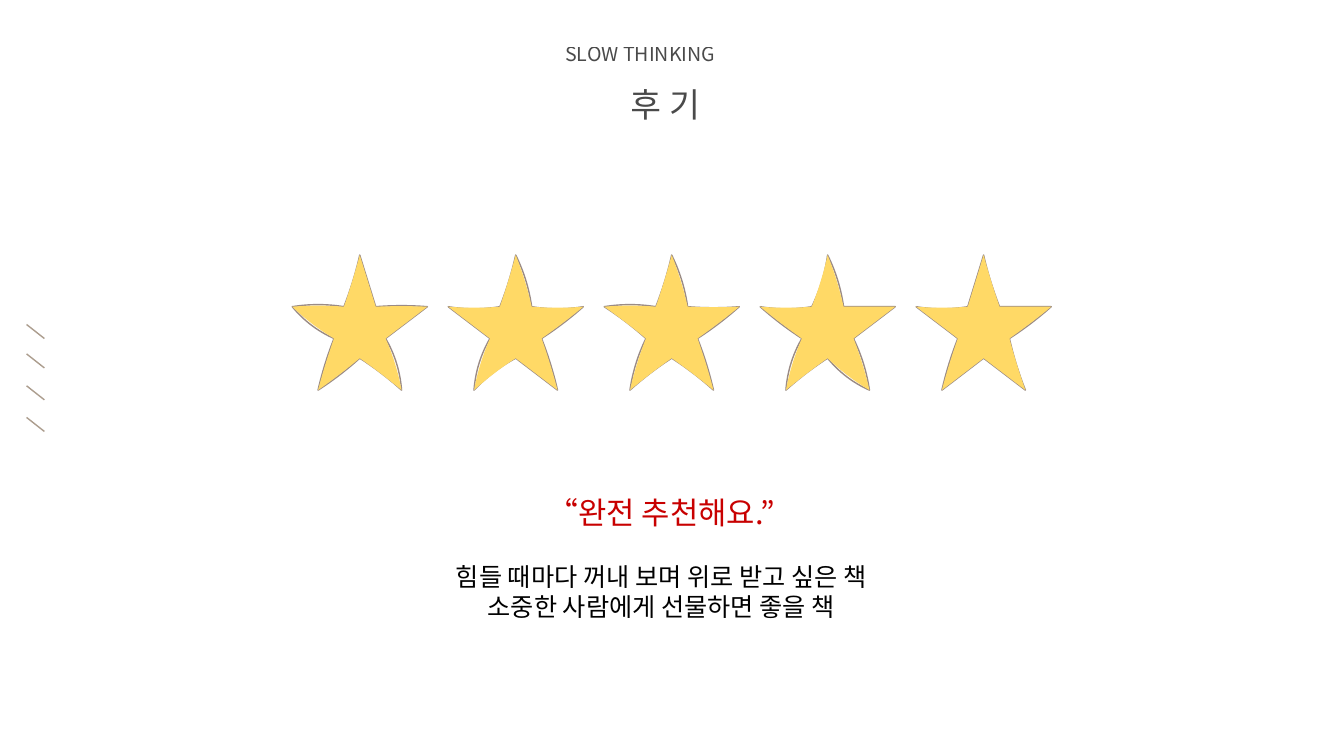
from math import cos, hypot, radians, sin
from typing import NamedTuple

from lxml.etree import SubElement
from pptx import Presentation
from pptx.dml.color import RGBColor
from pptx.enum.shapes import MSO_CONNECTOR
from pptx.enum.text import MSO_ANCHOR, MSO_AUTO_SIZE, PP_ALIGN
from pptx.oxml.ns import qn
from pptx.util import Pt

FONT = "Noto Sans CJK KR"
BLACK = RGBColor(0x00, 0x00, 0x00)
RED = RGBColor(0xC8, 0x00, 0x00)
GOLD = RGBColor(0xFF, 0xD9, 0x66)
BROWN = RGBColor(0x9A, 0x8B, 0x85)
TAN = RGBColor(0xAC, 0x9D, 0x8E)

# Star size and spacing in points; outlines use GRID units per point
SIDE, LEFT, TOP, STEP = 96.5, 208.8, 182.2, 111.4
GRID = 10
INNER = 0.382

Point = tuple[float, float]


class Star(NamedTuple):
    """Outward bend of each edge in points, clockwise from the left tip."""
    bends: tuple[int, ...]


class Line(NamedTuple):
    text: str
    size: float
    color: RGBColor
    align: PP_ALIGN = PP_ALIGN.CENTER
    alpha: int = 100
    gap: float = 0


STARS = (
    Star((2, -1, 0, 1, 0, 3, -1, 1, 1, 3)),
    Star((-2, -1, 2, -2, 1, 1, 0, -2, 3, 0)),
    Star((2, -1, 2, -1, 1, 1, -1, -1, 2, -1)),
    Star((-2, -2, 2, 0, 0, 2, 3, -1, 3, 1)),
    Star((-2, 0, -1, 0, 1, -1, 0, 0, 1, 0)),
)


def star_tips() -> list[Point]:
    """Outer and inner corners of a star that fills its square."""
    wide = SIDE / 2 / sin(radians(72))
    high = SIDE / (1 + cos(radians(36)))
    tips = []
    for num in range(10):
        turn = radians(36 * num - 72)
        size = INNER if num % 2 else 1
        tips.append((SIDE / 2 + size * wide * sin(turn),
                     high - size * high * cos(turn)))
    return tips


TIPS = star_tips()


def put(frame, lines: list[Line]) -> None:
    """Write styled lines into a text frame."""
    frame.word_wrap = True
    frame.auto_size = MSO_AUTO_SIZE.NONE
    frame.vertical_anchor = MSO_ANCHOR.TOP
    for num, line in enumerate(lines):
        para = frame.add_paragraph() if num else frame.paragraphs[0]
        para.text = line.text
        para.alignment = line.align
        para.space_before = Pt(line.gap)
        font = para.font
        font.size, font.name = Pt(line.size), FONT
        font.color.rgb = line.color
        props = para._p.pPr.find(qn("a:defRPr"))
        SubElement(props, qn("a:ea"), typeface=FONT)
        if line.alpha < 100:
            tint = props.find(".//" + qn("a:srgbClr"))
            SubElement(tint, qn("a:alpha"), val=str(line.alpha * 1000))


def add_point(node, x: float, y: float) -> None:
    SubElement(node, qn("a:pt"), x=str(round(x * GRID)),
               y=str(round(y * GRID)))


def trace(paths, bends: list[float], **flags: str) -> None:
    """Add one closed path whose edges bend between the star tips."""
    side = str(round(SIDE * GRID))
    path = SubElement(paths, qn("a:path"), w=side, h=side, **flags)
    add_point(SubElement(path, qn("a:moveTo")), *TIPS[0])
    for bend, (x1, y1), (x2, y2) in zip(bends, TIPS, TIPS[1:] + TIPS[:1]):
        dx, dy = x2 - x1, y2 - y1
        push = bend / hypot(dx, dy)
        curve = SubElement(path, qn("a:cubicBezTo"))
        for part in (1 / 3, 2 / 3):
            add_point(curve, x1 + part * dx + push * dy,
                      y1 + part * dy - push * dx)
        add_point(curve, x2, y2)
    SubElement(path, qn("a:close"))


def draw_star(shapes, star: Star, spot: int) -> None:
    dots = [(round(x * GRID), round(y * GRID)) for x, y in TIPS]
    form = shapes.build_freeform(*dots[0], scale=Pt(1 / GRID))
    form.add_line_segments(dots[1:], close=True)
    shape = form.convert_to_shape(Pt(LEFT + spot * STEP), Pt(TOP))
    shape.shadow.inherit = False
    shape.fill.solid()
    shape.fill.fore_color.rgb = GOLD
    shape.line.color.rgb = BROWN
    shape.line.width = Pt(1)
    paths = shape.element.find(".//" + qn("a:pathLst"))
    paths.clear()
    trace(paths, list(star.bends), fill="none")
    trace(paths, [bend / 2 for bend in star.bends], stroke="0")


def draw_tick(shapes, top: float) -> None:
    tick = shapes.add_connector(MSO_CONNECTOR.STRAIGHT, Pt(19), Pt(top),
                                Pt(31.7), Pt(top + 10))
    tick.line.color.rgb = TAN
    tick.line.width = Pt(1)
    SubElement(tick.element.spPr, qn("a:effectLst"))


def main() -> None:
    deck = Presentation()
    deck.slide_width, deck.slide_height = Pt(960), Pt(540)
    slide = deck.slides.add_slide(deck.slide_layouts[5])
    shapes = slide.shapes

    # Side ticks
    for top in (231.8, 252.8, 275.6, 298.2):
        draw_tick(shapes, top)

    # Rating
    for spot, star in enumerate(STARS):
        draw_star(shapes, star, spot)

    # Heading
    title = shapes.title
    title.left, title.top = Pt(443.5), Pt(56.2)
    title.width, title.height = Pt(118), Pt(35.3)
    put(title.text_frame, [Line("후 기", 24, BLACK, PP_ALIGN.LEFT, 71)])
    label = shapes.add_textbox(Pt(396.7), Pt(26.6), Pt(167), Pt(23))
    put(label.text_frame,
        [Line("SLOW THINKING", 14, BLACK, PP_ALIGN.JUSTIFY, 71)])

    # Review
    quote = shapes.add_textbox(Pt(208.8), Pt(349.2), Pt(527), Pt(98.6))
    put(quote.text_frame, [
        Line("“완전 추천해요.”", 22, RED),
        Line("힘들 때마다 꺼내 보며 위로 받고 싶은 책", 18, BLACK, gap=21.5),
        Line("소중한 사람에게 선물하면 좋을 책", 18, BLACK),
    ])

    deck.save("out.pptx")


if __name__ == "__main__":
    main()
